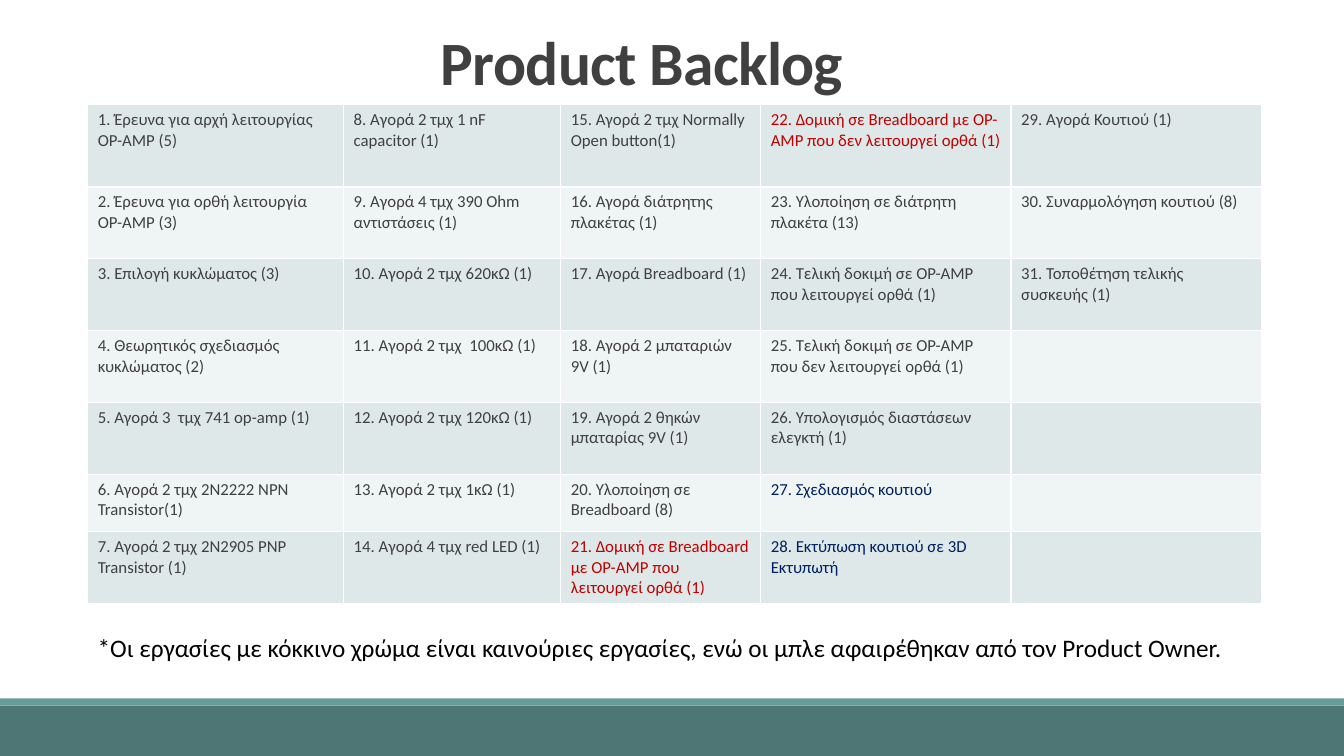
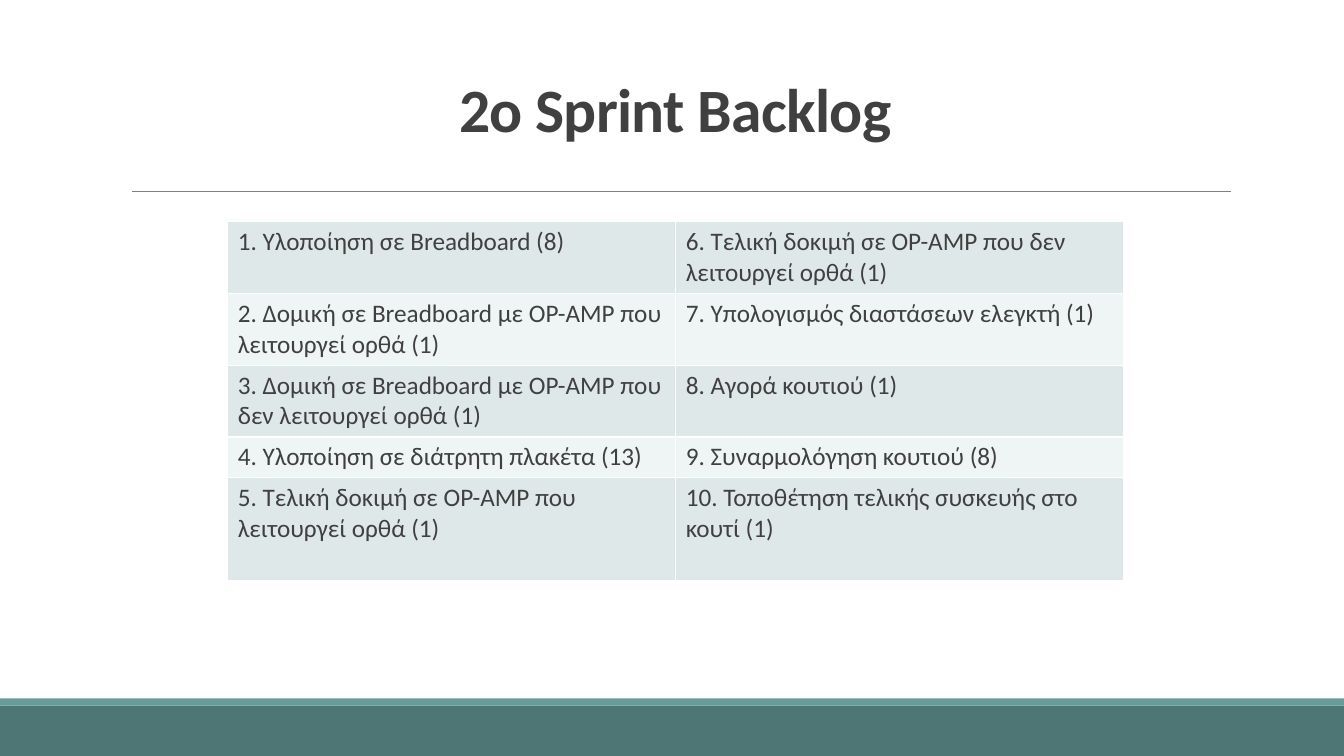
import lxml.etree
import pptx
import pptx.dml.color
import pptx.enum.shapes
import pptx.enum.text
import pptx.oxml.ns
import pptx.util
from pptx.util import Cm

FONT = "Calibri"
COLORS = {
    "band": "4D7675",
    "strip": "689C9B",
    "rule": "808080",
    "text": "404040",
    "note": "000000",
    "new": "C00000",
    "removed": "002060",
    "border": "FFFFFF",
    "odd_row": "DFE8E8",
    "even_row": "EFF4F4",
}

PRODUCT_TASKS = [
    "Έρευνα για αρχή λειτουργίας ΟP-AMP (5)",
    "Έρευνα για ορθή λειτουργία OP-AMP (3)",
    "Επιλογή κυκλώματος (3)",
    "Θεωρητικός σχεδιασμός κυκλώματος (2)",
    "Αγορά 3  τμχ 741 op-amp (1)",
    "Αγορά 2 τμχ 2Ν2222 ΝΡΝ Transistor(1)",
    "Αγορά 2 τμχ 2Ν2905 PNP Transistor (1)",
    "Αγορά 2 τμχ 1 nF  capacitor (1)",
    "Αγορά 4 τμχ 390 Ohm αντιστάσεις (1)",
    "Αγορά 2 τμχ 620κΩ (1)",
    "Αγορά 2 τμχ  100κΩ (1)",
    "Αγορά 2 τμχ 120κΩ (1)",
    "Αγορά 2 τμχ 1κΩ (1)",
    "Αγορά 4 τμχ red LED (1)",
    "Αγορά 2 τμχ Normally Open button(1)",
    "Αγορά διάτρητης πλακέτας (1)",
    "Αγορά Breadboard (1)",
    "Αγορά 2 μπαταριών 9V (1)",
    "Αγορά 2 θηκών μπαταρίας 9V (1)",
    "Υλοποίηση σε Breadboard (8)",
    "Δομική σε Breadboard με OP-AMP που λειτουργεί ορθά (1)",
    "Δομική σε Breadboard με OP-AMP που δεν λειτουργεί ορθά (1)",
    "Υλοποίηση σε διάτρητη πλακέτα (13)",
    "Τελική δοκιμή σε OP-AMP που λειτουργεί ορθά (1)",
    "Τελική δοκιμή σε OP-AMP που δεν λειτουργεί ορθά (1)",
    "Υπολογισμός διαστάσεων ελεγκτή (1)",
    "Σχεδιασμός κουτιού",
    "Εκτύπωση κουτιού σε 3D Εκτυπωτή",
    "Αγορά Κουτιού (1)",
    "Συναρμολόγηση κουτιού (8)",
    "Τοποθέτηση τελικής συσκευής (1)",
]
PRODUCT_MARKS = {21: "new", 22: "new", 27: "removed", 28: "removed"}

SPRINT_TASKS = [
    "Υλοποίηση σε Breadboard (8)",
    "Δομική σε Breadboard με OP-AMP που λειτουργεί ορθά (1)",
    "Δομική σε Breadboard με OP-AMP που δεν λειτουργεί ορθά (1)",
    "Υλοποίηση σε διάτρητη πλακέτα (13)",
    "Τελική δοκιμή σε OP-AMP που λειτουργεί ορθά (1)",
    "Τελική δοκιμή σε OP-AMP που δεν λειτουργεί ορθά (1)",
    "Υπολογισμός διαστάσεων ελεγκτή (1)",
    "Αγορά κουτιού (1)",
    "Συναρμολόγηση κουτιού (8)",
    "Τοποθέτηση τελικής συσκευής στο κουτί (1)",
]


def rgb(name):
    return pptx.dml.color.RGBColor.from_string(COLORS[name])


class Deck:
    """Presentation style and the slide being filled; lengths are in cm."""

    def __init__(self):
        self.prs = pptx.Presentation()
        self.prs.slide_width = Cm(33.87)
        self.prs.slide_height = Cm(19.05)
        self.s = None

    def new_slide(self):
        self.s = self.prs.slides.add_slide(self.prs.slide_layouts[6])
        self.band(17.78, 1.27, "band")
        self.band(17.6, 0.18, "strip")

    def band(self, y, h, color):
        sp = self.s.shapes.add_shape(
            pptx.enum.shapes.MSO_SHAPE.RECTANGLE,
            0, Cm(y), self.prs.slide_width, Cm(h))
        sp.shadow.inherit = False
        sp.fill.solid()
        sp.fill.fore_color.rgb = rgb(color)
        sp.line.fill.background()

    def rule(self, x1, x2, y):
        ln = self.s.shapes.add_connector(
            pptx.enum.shapes.MSO_CONNECTOR.STRAIGHT, Cm(x1), Cm(y), Cm(x2), Cm(y))
        ln.line.color.rgb = rgb("rule")
        ln.line.width = pptx.util.Pt(0.5)
        lxml.etree.SubElement(
            ln._element.spPr, pptx.oxml.ns.qn("a:effectLst"))

    def set_text(self, tf, text, size, color, bold=False):
        p = tf.paragraphs[0]
        p.text = text
        for r in p.runs:
            r.font.name = FONT
            r.font.size = pptx.util.Pt(size)
            r.font.bold = bold
            r.font.color.rgb = rgb(color)

    def text_box(self, x, y, w, h, text, size, color, bold=False):
        sp = self.s.shapes.add_textbox(Cm(x), Cm(y), Cm(w), Cm(h))
        sp.text_frame.word_wrap = True
        self.set_text(sp.text_frame, text, size, color, bold)
        return sp.text_frame

    def title(self, x, y, h, text):
        tf = self.text_box(x, y, 27.94, h, text, 44, "text", bold=True)
        tf.vertical_anchor = pptx.enum.text.MSO_ANCHOR.BOTTOM
        p = tf.paragraphs[0]
        p.alignment = pptx.enum.text.PP_ALIGN.CENTER
        p.line_spacing = 0.85
        p.runs[0]._r.get_or_add_rPr().set("spc", "-50")

    def cell_borders(self, cell):
        tcPr = cell._tc.get_or_add_tcPr()
        for side in ("lnL", "lnR", "lnT", "lnB"):
            ln = lxml.etree.SubElement(tcPr, pptx.oxml.ns.qn("a:" + side), w="12700")
            fill = lxml.etree.SubElement(ln, pptx.oxml.ns.qn("a:solidFill"))
            lxml.etree.SubElement(
                fill, pptx.oxml.ns.qn("a:srgbClr"), val=COLORS["border"])

    def task_table(self, x, y, widths, heights, tasks, size, marks=None):
        """Number the tasks down each column; marks maps a number to a colour."""
        marks = marks or {}
        table = self.s.shapes.add_table(
            len(heights), len(widths), Cm(x), Cm(y),
            Cm(sum(widths)), Cm(sum(heights))).table
        table.first_row = table.horz_banding = False
        for column, w in zip(table.columns, widths):
            column.width = Cm(w)
        for i, h in enumerate(heights):
            table.rows[i].height = Cm(h)
            for j in range(len(widths)):
                cell = table.cell(i, j)
                self.cell_borders(cell)
                cell.fill.solid()
                cell.fill.fore_color.rgb = rgb("even_row" if i % 2 else "odd_row")
                n = j * len(heights) + i + 1
                if n <= len(tasks):
                    self.set_text(cell.text_frame, f"{n}. {tasks[n - 1]}", size,
                                  marks.get(n, "text"))


def main():
    deck = Deck()

    deck.new_slide()
    deck.title(2.21, 0.15, 2.46, "Product Backlog")
    deck.task_table(2.21, 2.64, [6.45, 5.47, 5.04, 6.31, 6.31],
                    [2.07, 1.81, 1.81, 1.81, 1.81, 1.45, 1.81],
                    PRODUCT_TASKS, 12, PRODUCT_MARKS)
    deck.text_box(2.21, 15.8, 29.59, 1.02,
                  "*Οι εργασίες με κόκκινο χρώμα είναι καινούριες εργασίες, "
                  "ενώ οι μπλε αφαιρέθηκαν από τον Product Owner.", 18, "note")

    deck.new_slide()
    deck.rule(3.33, 31.01, 4.83)
    deck.title(3.05, 1.85, 1.93, "2o Sprint Backlog")
    deck.task_table(5.74, 5.58, [11.29] * 2, [1.81, 1.81, 1.81, 1.03, 2.58],
                    SPRINT_TASKS, 18)

    deck.prs.save("out.pptx")


if __name__ == "__main__":
    main()
